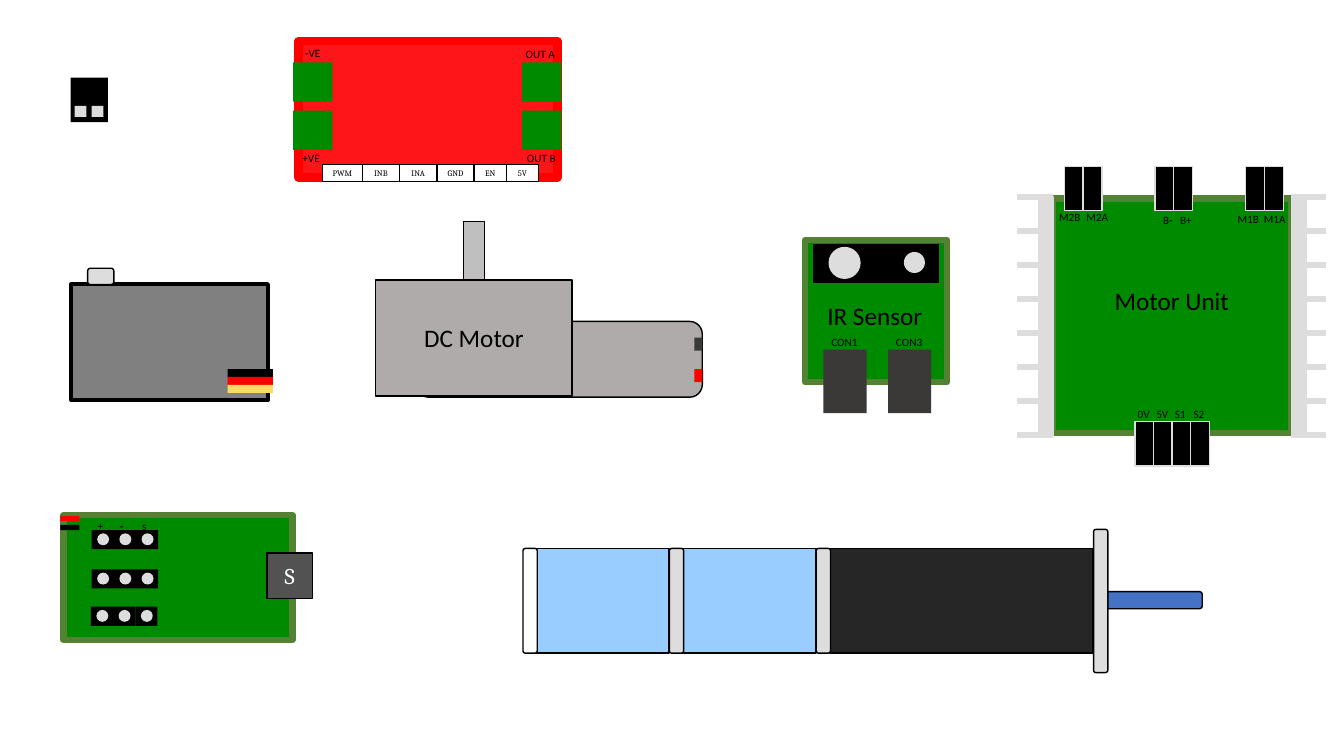
from itertools import accumulate
from pptx import Presentation, util as u
from pptx.dml.color import RGBColor
from pptx.enum import shapes, text

COLORS = {
    "board": "008A00", "board edge": "548235", "light": "DDDDDD", "black": "000000",
    "white": "FFFFFF", "red": "FF0000", "driver": "FE1519", "dark": "3B3838",
    "motor": "AFABAB", "shaft": "BFBFBF", "servo": "808080", "yellow": "FFD966",
    "socket": "525252", "blue": "4472C4", "barrel": "262626", "sky": "99CCFF",
}
KINDS = {
    "rect": shapes.MSO_SHAPE.RECTANGLE,
    "round": shapes.MSO_SHAPE.ROUNDED_RECTANGLE,
    "oval": shapes.MSO_SHAPE.OVAL,
}
OUTLINE = ("black", 1)

# Parts: kind, (left, top, width, height) in cm, fill, outline
PLUG = [
    ("rect", (1.78, 1.96, 0.94, 1.12), "black", None),
    ("rect", (1.88, 2.67, 0.3, 0.28), "light", None),
    ("rect", (2.31, 2.67, 0.3, 0.28), "light", None),
]
IR_SENSOR = [
    ("rect", (20.29, 6.05, 3.58, 3.58), "board", ("board edge", 4.5)),
    ("rect", (22.38, 8.81, 1.09, 1.6), "dark", None),
    ("rect", (20.75, 8.81, 1.09, 1.6), "dark", None),
    ("rect", (20.5, 6.17, 3.15, 0.94), "black", OUTLINE),
    ("oval", (22.78, 6.35, 0.53, 0.53), "light", None),
    ("oval", (20.88, 6.22, 0.81, 0.81), "light", None),
]
DC_MOTOR = [
    ("rect", (11.68, 5.59, 0.53, 1.8), "shaft", OUTLINE),
    ("round", (10.49, 8.1, 7.21, 1.91), "motor", OUTLINE),
    ("rect", (9.47, 7.06, 4.95, 2.92), "motor", OUTLINE),
    ("rect", (17.5, 8.51, 0.2, 0.33), "dark", None),
    ("rect", (17.5, 9.3, 0.2, 0.33), "red", None),
]
SERVO = [
    ("rect", (1.8, 7.16, 4.95, 2.92), "servo", ("black", 3)),
    ("round", (2.21, 6.76, 0.66, 0.41), "light", OUTLINE),
]
SERVO_WIRES = ["black", "red", "yellow"]
RECEIVER = [
    ("rect", (1.6, 12.98, 5.77, 3.15), "board", ("board edge", 4.5)),
    ("rect", (1.52, 13.0, 0.48, 0.13), "red", None),
    ("rect", (1.52, 13.23, 0.48, 0.13), "black", None),
]
RECEIVER_HEADERS = [(2.31, 13.36), (2.31, 14.35), (2.29, 15.29)]
GEARED_MOTOR = [
    ("round", (27.56, 14.91, 2.74, 0.43), "blue", OUTLINE),
    ("rect", (20.9, 13.82, 6.65, 2.64), "barrel", OUTLINE),
    ("round", (20.57, 13.82, 0.36, 2.64), "light", OUTLINE),
    ("rect", (17.17, 13.82, 3.4, 2.64), "sky", OUTLINE),
    ("round", (16.87, 13.82, 0.36, 2.64), "light", OUTLINE),
    ("rect", (13.46, 13.82, 3.4, 2.64), "sky", OUTLINE),
    ("round", (13.18, 13.82, 0.36, 2.64), "white", OUTLINE),
    ("round", (27.56, 13.34, 0.36, 3.61), "light", OUTLINE),
]
DRIVER_PINS = [("PWM", 1.0), ("INB", 0.94), ("INA", 0.94), ("GND", 0.94), ("EN", 0.81), ("5V", 0.81)]
CONTROLLER_BOARD = ("rect", (26.54, 5.0, 5.99, 5.92), "board", ("board edge", 4.5))
CONTROLLER_RAILS = [(26.21, 4.98, 25.65), (32.59, 4.95, 32.54)]  # rail left, rail top, fin left
CONTROLLER_PINS = [(26.82, 4.19, 2), (31.39, 4.19, 2), (29.11, 4.19, 2), (28.6, 10.62, 4)]

# Labels: wording, (left, top, width)
SMALL_LABELS = [
    ("M2B", (26.44, 5.18, 1.07)), ("M2A", (27.13, 5.18, 1.07)),
    ("B-", (29.06, 5.26, 0.86)), ("B+", (29.49, 5.26, 0.86)),
    ("M1B", (30.94, 5.23, 1.07)), ("M1A", (31.6, 5.23, 1.07)),
    ("CON3", (22.33, 8.33, 1.17)), ("CON1", (20.7, 8.33, 1.17)),
    ("+VE", (7.37, 3.68, 0.99)), ("-VE", (7.44, 1.04, 0.99)),
    ("OUT A", (13.0, 1.07, 1.27)), ("OUT B", (13.03, 3.68, 1.27)),
]
LARGE_LABELS = [
    ("Motor Unit", (27.84, 7.06, 3.43)), ("IR Sensor", (20.6, 7.44, 2.97)),
    ("DC Motor", (10.44, 8.0, 3.05)),
]
SIGNALS = ["0V", "5V", "S1", "S2"]
HEADER_LABELS = ["+", "-", "s"]

presentation = Presentation()
presentation.slide_width, presentation.slide_height = u.Cm(33.87), u.Cm(19.05)
slide = presentation.slides.add_slide(presentation.slide_layouts[6])


def color(name):
    return RGBColor.from_string(COLORS[name])


def write(shape, wording, size, font, ink="black", bold=False, align=text.PP_ALIGN.LEFT):
    paragraph = shape.text_frame.paragraphs[0]
    paragraph.alignment = align
    run = paragraph.add_run()
    run.text = wording
    for name, value in {"size": u.Pt(size), "name": font, "bold": bold}.items():
        setattr(run.font, name, value)
    run.font.color.rgb = color(ink)


def add_part(kind, box, fill, outline=None):
    shape = slide.shapes.add_shape(KINDS[kind], *map(u.Cm, box))
    shape.shadow.inherit = False
    shape.fill.solid()
    shape.fill.fore_color.rgb = color(fill)
    if outline:
        shape.line.color.rgb = color(outline[0])
        shape.line.width = u.Pt(outline[1])
    else:
        shape.line.fill.background()
    return shape


def add_parts(parts):
    for part in parts:
        add_part(*part)


def add_caption_box(box, wording, size, fill, ink):
    shape = add_part("rect", box, fill, OUTLINE)
    frame = {"margin_left": 0, "margin_right": 0, "margin_top": 0, "margin_bottom": 0,
             "word_wrap": False, "vertical_anchor": text.MSO_ANCHOR.MIDDLE}
    for name, value in frame.items():
        setattr(shape.text_frame, name, value)
    write(shape, wording, size, "Cambria", ink, align=text.PP_ALIGN.CENTER)


def add_label(wording, place, size=8, height=0.61, side=0.25, bold=False):
    label = slide.shapes.add_textbox(*map(u.Cm, (*place, height)))
    frame = {"margin_left": u.Cm(side), "margin_right": u.Cm(side), "word_wrap": False,
             "auto_size": text.MSO_AUTO_SIZE.SHAPE_TO_FIT_TEXT}
    for name, value in frame.items():
        setattr(label.text_frame, name, value)
    write(label, wording, size, "Calibri", bold=bold)


# Motor controller with cooling fins and pins
add_part(*CONTROLLER_BOARD)
for rail_left, rail_top, fin_left in CONTROLLER_RAILS:
    add_part("rect", (rail_left, rail_top, 0.3, 5.99), "light", ("light", 3))
    for fin in range(8):
        add_part("rect", (fin_left, 4.9 + fin * 6 / 7, 0.86, 0.13), "light", ("light", 0.5))
for left, top, count in CONTROLLER_PINS:
    for pin in range(count):
        add_part("rect", (left + pin * 0.47, top, 0.48, 1.12), "black", ("light", 1))
for number, signal in enumerate(SIGNALS):
    add_label(signal, (28.42 + number * 0.47, 10.13, 0.86))

# Plug, sensor, motor and servo
add_parts(PLUG + IR_SENSOR + DC_MOTOR + SERVO)
for number, wire in enumerate(SERVO_WIRES):
    add_part("rect", (5.74, 9.3 + number * 0.2, 1.14, 0.2), wire)

# Receiver board with three headers
add_parts(RECEIVER)
add_caption_box((6.73, 13.94, 1.14, 1.14), "S", 16, "socket", "white")
for number, sign in enumerate(HEADER_LABELS):
    add_label(sign, (2.46 + number * 0.56, 12.95, 0.13), side=0, bold=sign == "-")
for left, top in RECEIVER_HEADERS:
    for pin in range(3):
        pin_left = left + pin * 0.56
        add_part("rect", (pin_left, top, 0.56, 0.48), "black")
        add_part("oval", (pin_left + 0.14, top + 0.08, 0.3, 0.3), "light")

# Geared motor
add_parts(GEARED_MOTOR)

# Motor driver with terminals and pin strip
add_part("rect", (7.52, 1.04, 6.53, 3.43), "driver", ("red", 6))
for left in (7.39, 13.16):
    for top in (1.57, 2.79):
        add_part("rect", (left, top, 0.99, 0.99), "board")
pin_lefts = accumulate((width for _, width in DRIVER_PINS), initial=8.13)
for left, (wording, width) in zip(pin_lefts, DRIVER_PINS):
    add_caption_box((left, 4.14, width, 0.43), wording, 6, "white", "black")

# Labels
for wording, place in SMALL_LABELS:
    add_label(wording, place)
for wording, place in LARGE_LABELS:
    add_label(wording, place, size=18, height=1.02)

presentation.save("out.pptx")
